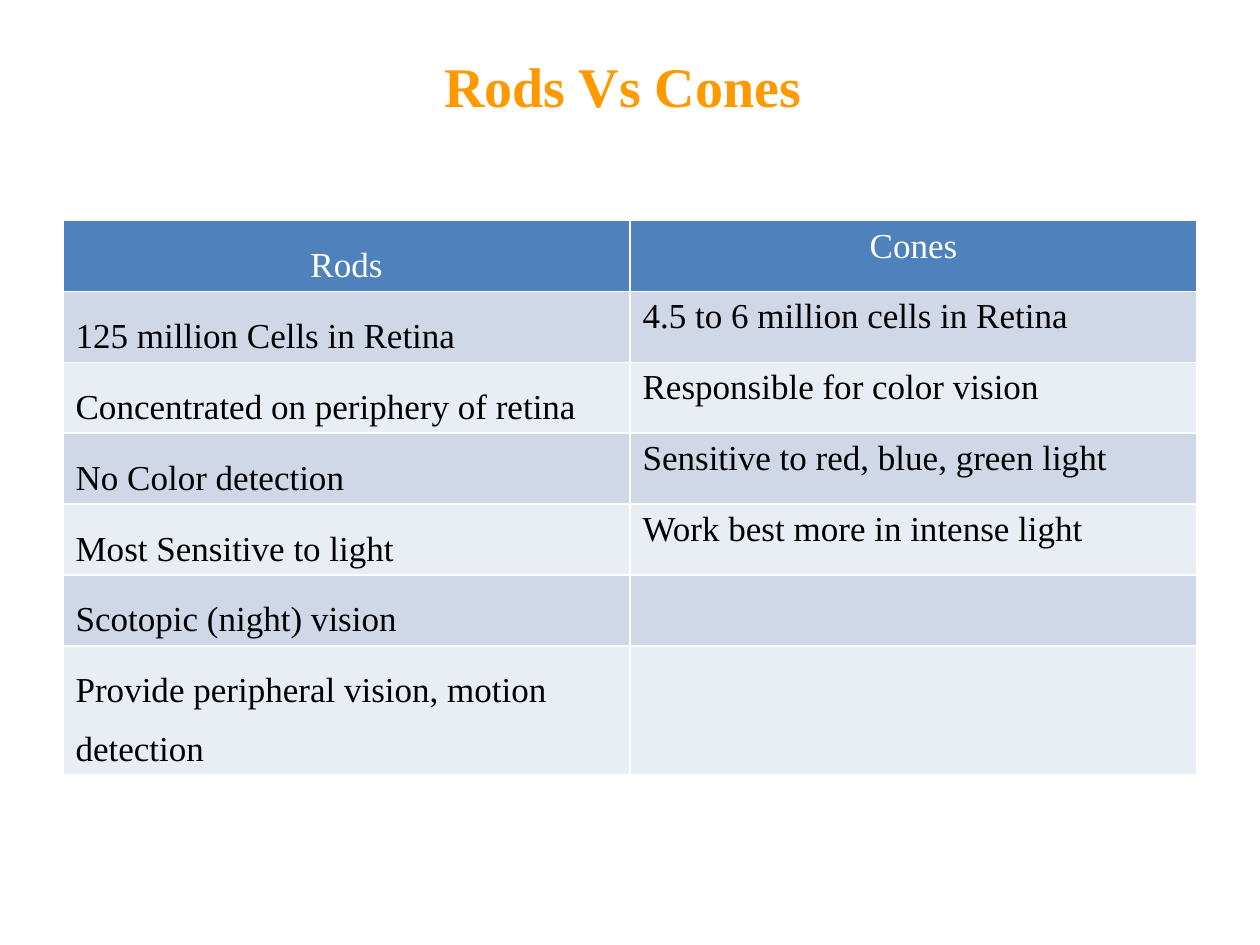
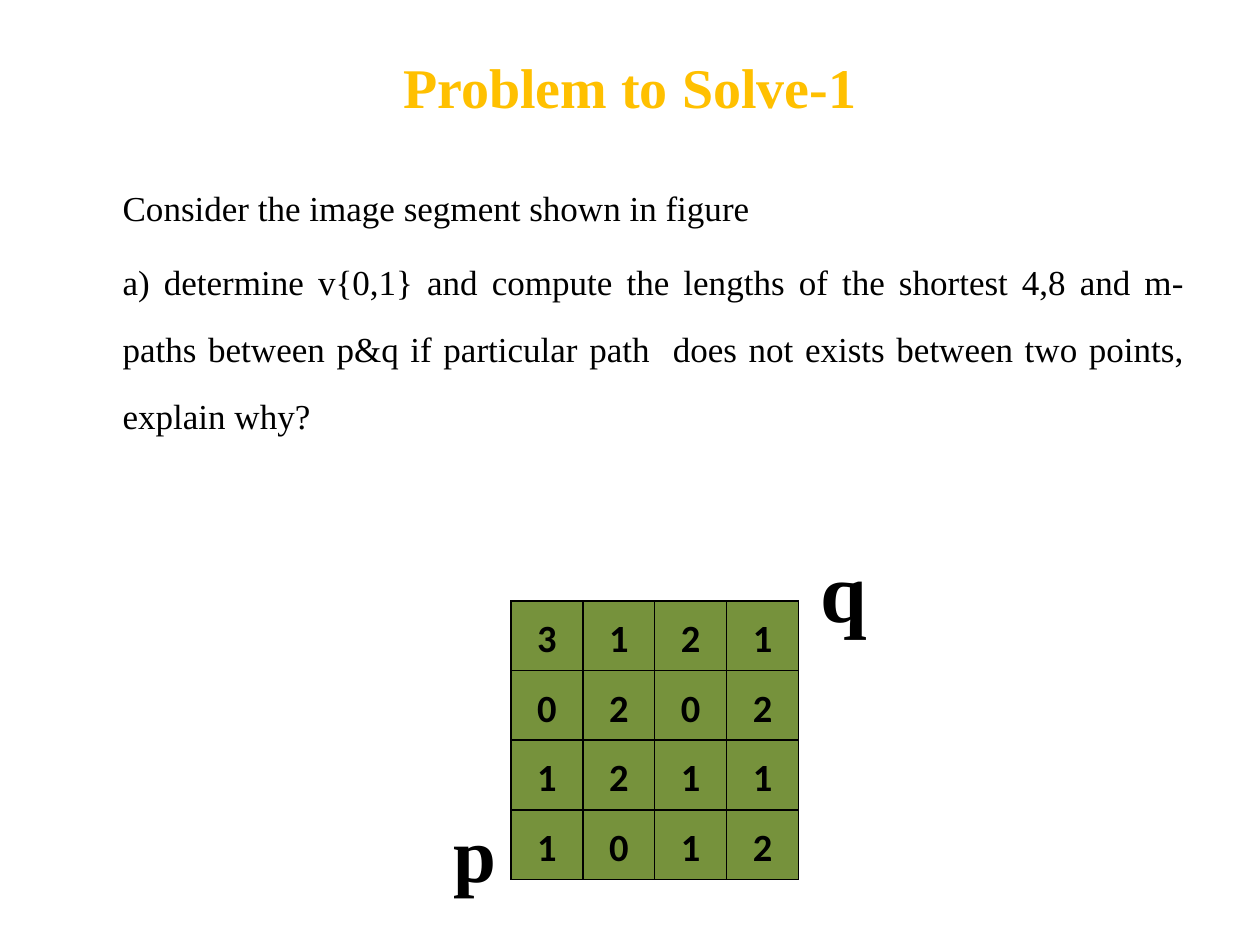
"""Build two lecture slides: a comparison table and a pixel path exercise."""
from dataclasses import dataclass

from lxml import etree
from pptx import Presentation
from pptx.dml.color import RGBColor
from pptx.enum import text
from pptx.oxml import ns
from pptx.util import Pt

LEFT, CENTER, JUSTIFY = (text.PP_ALIGN.LEFT, text.PP_ALIGN.CENTER,
                         text.PP_ALIGN.JUSTIFY)
MIDDLE, TOP = text.MSO_ANCHOR.MIDDLE, text.MSO_ANCHOR.TOP


@dataclass(frozen=True)
class Theme:
    """Colours, fonts and type sizes."""
    serif: str = "Times New Roman"
    sans: str = "Calibri"
    orange: str = "FF9900"
    gold: str = "FFC000"
    ink: str = "000000"
    white: str = "FFFFFF"
    header: str = "4F81BD"
    bands: tuple = ("D0D8E8", "E9EDF4")
    pixel: str = "76923C"
    title: int = 32
    body: int = 20
    digit: int = 22


class Deck:
    """Hold the style and the current slide, and add elements to it."""

    def __init__(self, theme):
        """Start an empty presentation."""
        self.theme = theme
        self.prs = Presentation()
        self.prs.slide_width, self.prs.slide_height = Pt(720), Pt(540)

    def slide(self, title, color, top):
        """Add a title-only slide with a formatted title."""
        self.s = self.prs.slides.add_slide(self.prs.slide_layouts[5])
        sp = self.s.shapes.title
        sp.left, sp.top, sp.width, sp.height = Pt(36), Pt(top), Pt(648), Pt(90)
        tf = sp.text_frame
        tf.vertical_anchor = MIDDLE
        self.add_text(tf.paragraphs[0], title, self.theme.title, color,
                      bold=True, align=CENTER)

    def add_text(self, p, words, size, color, font=None, bold=False,
                 align=LEFT, spacing=1.0):
        """Format a paragraph and add one run to it."""
        p.alignment, p.line_spacing = align, spacing
        r = p.add_run()
        r.text = words
        r.font.name = font or self.theme.serif
        r.font.size, r.font.bold = Pt(size), bold
        r.font.color.rgb = RGBColor.from_string(color)

    def paragraphs(self, box, lines, indent):
        """Add justified, indented body paragraphs."""
        tf = self.s.shapes.add_textbox(*map(Pt, box)).text_frame
        tf.word_wrap = True
        for i, line in enumerate(lines):
            p = tf.add_paragraph() if i else tf.paragraphs[0]
            p._p.get_or_add_pPr().set("marL", str(Pt(indent)))
            p.space_before = Pt(4 if i else 0)
            self.add_text(p, line, self.theme.body, self.theme.ink,
                          align=JUSTIFY, spacing=1.6)

    def label(self, box, words, size):
        """Add a bold label that does not wrap."""
        tf = self.s.shapes.add_textbox(*map(Pt, box)).text_frame
        tf.word_wrap = False
        self.add_text(tf.paragraphs[0], words, size, self.theme.ink, bold=True)

    def table(self, left, top, col, row, rows, header=False):
        """Add an even table and return its cells row by row."""
        n, m = len(rows), len(rows[0])
        tbl = self.s.shapes.add_table(n, m, Pt(left), Pt(top), Pt(col * m),
                                      Pt(row * n)).table
        tbl.first_row, tbl.horz_banding = header, False
        for c in tbl.columns:
            c.width = Pt(col)
        for r in tbl.rows:
            r.height = Pt(row)
        return [[tbl.cell(i, j) for j in range(m)] for i in range(n)]

    def cell(self, cell, words, fill, border, size, color, anchor=TOP, **style):
        """Border and fill one table cell and add its text."""
        tc = cell._tc.get_or_add_tcPr()
        for side in "LRTB":
            ln = etree.SubElement(tc, ns.qn(f"a:ln{side}"), w=str(Pt(1)))
            paint = etree.SubElement(ln, ns.qn("a:solidFill"))
            etree.SubElement(paint, ns.qn("a:srgbClr"), val=border)
        cell.fill.solid()
        cell.fill.fore_color.rgb = RGBColor.from_string(fill)
        cell.vertical_anchor = anchor
        if words:
            self.add_text(cell.text_frame.paragraphs[0], words, size, color,
                          **style)

    def comparison(self, left, top, col, row, rows):
        """Add a banded table with a header row."""
        t = self.theme
        for i, cells in enumerate(self.table(left, top, col, row, rows, True)):
            fill = t.bands[(i - 1) % 2] if i else t.header
            for j, cell in enumerate(cells):
                self.cell(cell, rows[i][j], fill, t.white, t.body,
                          t.ink if i else t.white,
                          align=LEFT if i else CENTER,
                          spacing=1.0 if j else 1.5)

    def pixels(self, left, top, col, row, rows):
        """Add a grid of pixel values."""
        t = self.theme
        for cells, values in zip(self.table(left, top, col, row, rows), rows):
            for cell, value in zip(cells, values):
                cell.margin_left = cell.margin_right = Pt(5)
                cell.margin_top = cell.margin_bottom = Pt(0)
                self.cell(cell, value, t.pixel, t.ink, t.digit, t.ink, MIDDLE,
                          font=t.sans, bold=True, align=CENTER, spacing=1.15)


def main():
    """Build and save both slides."""
    theme = Theme()
    deck = Deck(theme)

    deck.slide("Rods Vs Cones ", theme.orange, 3.6)
    deck.comparison(36, 126, 324, 29.2, [
        ("Rods", "Cones"),
        ("125 million Cells in Retina", "4.5 to 6 million cells in Retina"),
        ("Concentrated on periphery of retina", "Responsible for color vision"),
        ("No Color detection", "Sensitive to red, blue, green light"),
        ("Most Sensitive to light", "Work best more in intense light"),
        ("Scotopic (night) vision", ""),
        ("Provide peripheral vision, motion detection", ""),
    ])

    deck.slide("Problem to Solve-1", theme.gold, 4.3)
    deck.paragraphs((36, 88.5, 648, 356), [
        "Consider the image segment shown in figure",
        "a) determine v{0,1} and compute the lengths of the shortest 4,8 and "
        "m-paths between p&q if particular path  does not exists between two "
        "points, explain why?",
    ], 27)
    deck.pixels(292, 343.5, 41.1, 39.75, ["3121", "0202", "1211", "1012"])
    deck.label((462, 304, 42, 65.5), "q", 48)
    deck.label((252, 457, 39.5, 60.5), "p", 44)

    deck.prs.save("out.pptx")


if __name__ == "__main__":
    main()
